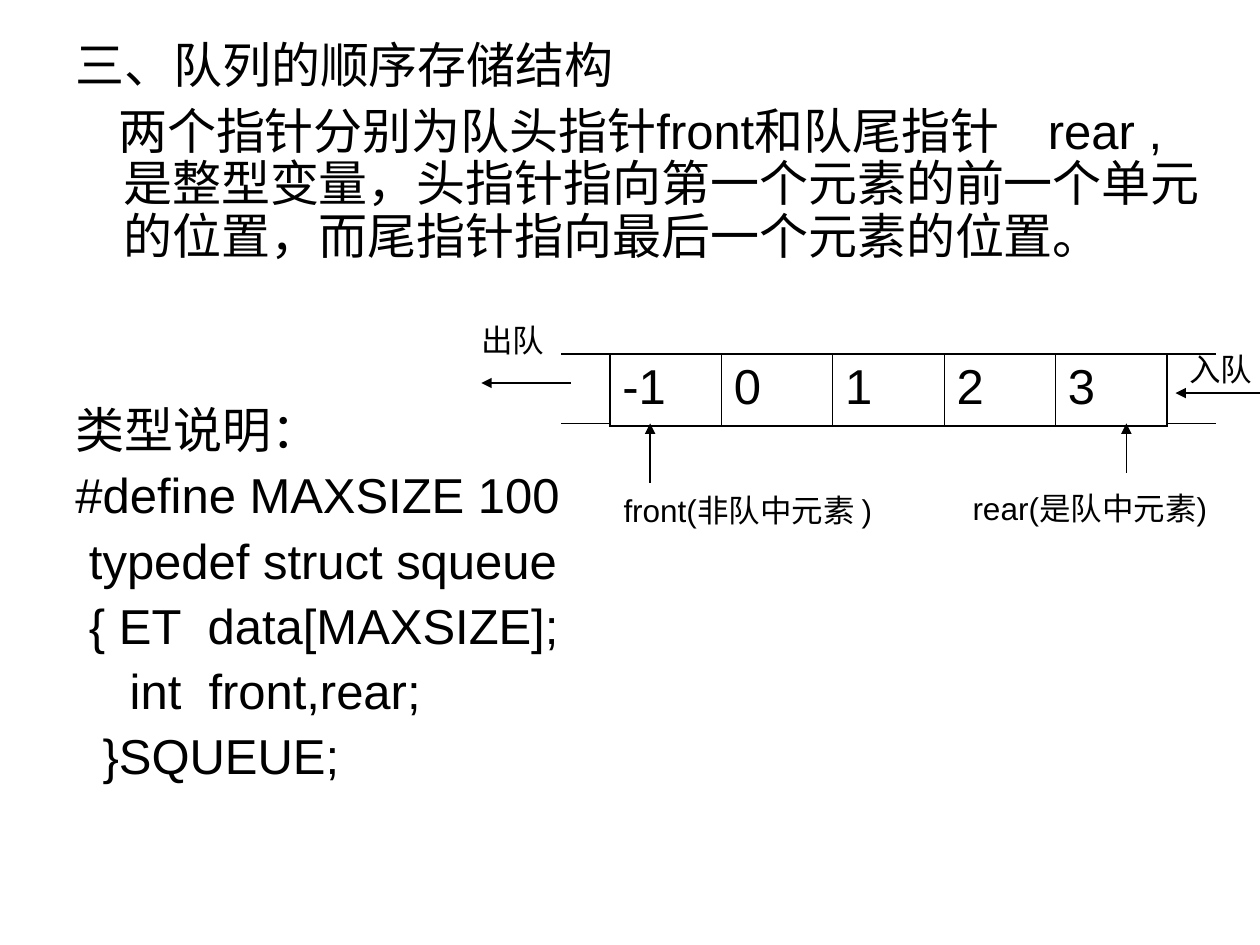
import pptx
import pptx.util
import pptx.dml.color
import pptx.enum.shapes
import pptx.enum.text
import pptx.oxml
import pptx.oxml.ns

COLS, ROWS = 100, 75
SLIDE_W, SLIDE_H = pptx.util.Inches(10), pptx.util.Inches(7.5)
FONT, BLACK = "Arial", "000000"
LEFT, TOP, CELL_W, CELL_H = 48.4, 28.1, 8.84, 5.7
BOTTOM_RAIL = 33.6
CELLS = ["-1", "0", "1", "2", "3"]
INTRO = [
    "三、队列的顺序存储结构",
    "两个指针分别为队头指针front和队尾指针　rear ,是整型变量，头指针指向第一个元素的前一个单元的位置，而尾指针指向最后一个元素的位置。",
]
CODE = [
    "类型说明：",
    "#define MAXSIZE 100",
    " typedef struct squeue",
    " { ET  data[MAXSIZE];",
    "    int  front,rear;",
    "  }SQUEUE;",
]


def col(n):
    """Return the length of n grid columns."""
    return int(SLIDE_W * n / COLS)


def row(n):
    """Return the length of n grid rows."""
    return int(SLIDE_H * n / ROWS)


def rgb(value):
    """Return a colour from a hex string."""
    return pptx.dml.color.RGBColor.from_string(value)


def style(p, size):
    """Format every run of a paragraph."""
    for r in p.runs:
        r.font.name = FONT
        r.font.size = pptx.util.Pt(size)
        r.font.color.rgb = rgb(BLACK)


def add_body(s):
    """Add the explanation followed by the type declaration."""
    sp = s.shapes.add_textbox(col(5), row(2.8), col(91.5), row(64.1))
    tf = sp.text_frame
    tf.word_wrap = True
    tf.text = "\n".join(INTRO + CODE)
    for i, p in enumerate(tf.paragraphs):
        p.line_spacing = 0.9
        p.space_before = pptx.util.Pt({0: 0, len(INTRO): 80.5}.get(i, 7))
        pPr = p._p.get_or_add_pPr()
        pPr.set("marL", str(col(3.8)))
        pPr.set("indent", str(-col(0.4 if i == 1 else 3.8)))
        style(p, 28)


def add_label(s, text, x, y, w):
    """Add a one-line label."""
    sp = s.shapes.add_textbox(col(x), row(y), col(w), row(4))
    tf = sp.text_frame
    tf.word_wrap = False
    tf.auto_size = pptx.enum.text.MSO_AUTO_SIZE.SHAPE_TO_FIT_TEXT
    tf.text = text
    style(tf.paragraphs[0], 18)


def add_line(s, x1, y1, x2, y2, arrow=False):
    """Add a thin line, with an arrowhead at its end if asked."""
    sp = s.shapes.add_connector(
        pptx.enum.shapes.MSO_CONNECTOR.STRAIGHT, col(x1), row(y1), col(x2), row(y2))
    sp.line.color.rgb = rgb(BLACK)
    sp.line.width = pptx.util.Pt(0.75)
    if arrow:
        tail = pptx.oxml.parse_xml(
            f'<a:tailEnd {pptx.oxml.ns.nsdecls("a")} type="triangle"/>')
        sp.line._get_or_add_ln().append(tail)
    sp._element.spPr.append(
        pptx.oxml.parse_xml(f'<a:effectLst {pptx.oxml.ns.nsdecls("a")}/>'))


def set_borders(cell, widths):
    """Draw the left, right, top and bottom borders of a cell."""
    tcPr = cell._tc.get_or_add_tcPr()
    for i, (side, width) in enumerate(zip("LRTB", widths)):
        tcPr.insert(i, pptx.oxml.parse_xml(
            f'<a:ln{side} {pptx.oxml.ns.nsdecls("a")} w="{pptx.util.Pt(width)}">'
            f'<a:solidFill><a:srgbClr val="{BLACK}"/></a:solidFill></a:ln{side}>'))


def add_queue(s):
    """Add the row of queue cells with a heavier outer frame."""
    n = len(CELLS)
    table = s.shapes.add_table(
        1, n, col(LEFT), row(TOP), col(CELL_W * n), row(CELL_H)).table
    table.first_row = table.horz_banding = False
    for i, text in enumerate(CELLS):
        table.columns[i].width = col(CELL_W)
        cell = table.cell(0, i)
        cell.fill.background()
        cell.text_frame.text = text
        style(cell.text_frame.paragraphs[0], 28)
        left = 1.08 if i == 0 else 0.45
        right = 1.08 if i == n - 1 else 0.45
        set_borders(cell, (left, right, 1.08, 1.08))


def main():
    """Build and save the slide."""
    prs = pptx.Presentation()
    prs.slide_width, prs.slide_height = SLIDE_W, SLIDE_H
    s = prs.slides.add_slide(prs.slide_layouts[6])
    add_body(s)
    add_queue(s)
    for y in (TOP, BOTTOM_RAIL):
        for x in (LEFT, 96.5):
            add_line(s, x, y, x - 3.9, y)
    add_line(s, 45.3, 30.4, 38.2, 30.4, arrow=True)
    add_line(s, COLS, 31.2, 93.3, 31.2, arrow=True)
    add_line(s, 51.6, 38.3, 51.6, BOTTOM_RAIL, arrow=True)
    add_line(s, 89.4, 37.5, 89.4, BOTTOM_RAIL, arrow=True)
    add_label(s, "front(非队中元素 )", 48.5, 38.5, 22.9)
    add_label(s, "rear(是队中元素)", 76.2, 38.3, 21.8)
    add_label(s, "出队", 37.2, 25, 7)
    add_label(s, "入队", 93.4, 27.3, 7)
    prs.save("out.pptx")


if __name__ == "__main__":
    main()
